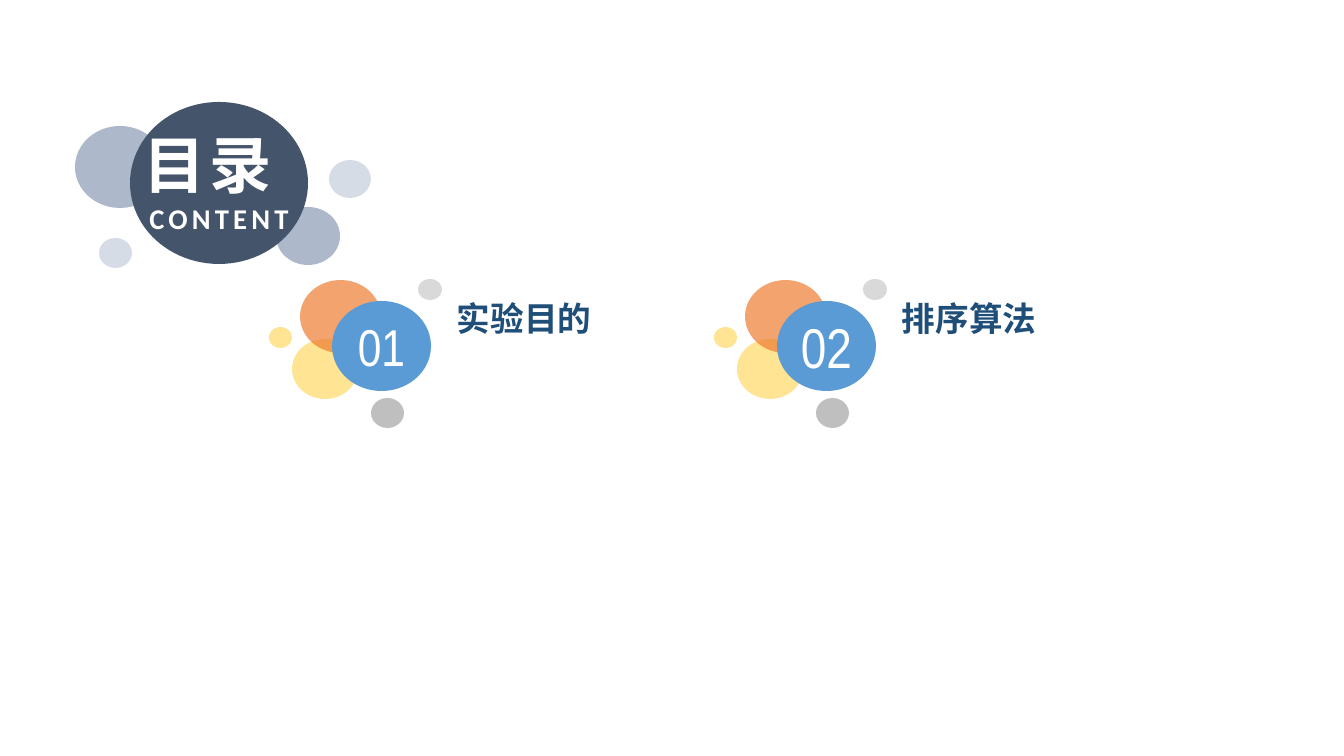
from lxml.etree import SubElement
from pptx import Presentation
from pptx.dml.color import RGBColor
from pptx.enum.shapes import MSO_SHAPE
from pptx.enum.text import MSO_ANCHOR, PP_ALIGN
from pptx.oxml.ns import qn
from pptx.util import Pt

PX = 914400 / 100.8
COLORS = {
    "navy": "44546A", "slate": "ADB9CA", "mist": "D6DCE5",
    "yellow": "FFD966", "orange": "ED7D31", "blue": "5B9BD5",
    "gray": "A5A5A5", "silver": "C9C9C9",
    "label": "1F4E79", "white": "FFFFFF",
}
CJK_FONT = "Noto Sans CJK SC"
ENTRY_LEFT, ENTRY_TOP, ENTRY_PITCH = 269, 279, 445
ENTRIES = [("01", 37, "实验目的"), ("02", 40, "排序算法")]
# Colour, left, top, width, height and opacity, relative to the entry
ENTRY_BUBBLES = [
    ("yellow", 23, 60, 66, 60, 70),
    ("orange", 31, 1, 81, 73, 70),
    ("blue", 63, 22, 99, 90, 100),
    ("gray", 102, 119, 33, 30, 70),
    ("yellow", 0, 48, 23, 21, 70),
    ("silver", 149, 0, 24, 21, 70),
]
TITLE_BUBBLES = [
    ("mist", 99, 238, 33, 30),
    ("slate", 276, 207, 64, 58),
    ("slate", 75, 126, 90, 82),
    ("navy", 130, 102, 178, 162),
    ("mist", 329, 160, 42, 38),
]


def px(length):
    return round(length * PX)


def rgb(name):
    return RGBColor.from_string(COLORS[name])


def add_bubble(group, color, left, top, width, height, opacity=100):
    bubble = group.shapes.add_shape(
        MSO_SHAPE.OVAL, px(left), px(top), px(width), px(height))
    bubble.shadow.inherit = False
    bubble.line.fill.background()
    bubble.fill.solid()
    bubble.fill.fore_color.rgb = rgb(color)
    if opacity < 100:
        tint = bubble.fill._xPr.find(".//" + qn("a:srgbClr"))
        SubElement(tint, qn("a:alpha"), val=str(opacity * 1000))
    return bubble


def prepare_text(box, anchor, align, font_name, color, bold=False):
    """Set the unwrapped frame's shared style and return its paragraph."""
    frame = box.text_frame
    frame.word_wrap = False
    frame.vertical_anchor = anchor
    paragraph = frame.paragraphs[0]
    paragraph.alignment = align
    font = paragraph.font
    font.name, font.bold = font_name, bold
    font.color.rgb = rgb(color)
    SubElement(font._rPr, qn("a:ea"), typeface=CJK_FONT)
    return paragraph


def add_spaced_span(paragraph, text, size):
    span = paragraph.add_run()
    span.text = text
    span.font.size = Pt(size)
    span.font._rPr.set("spc", "300")


def add_title(page):
    group = page.shapes.add_group_shape()
    for color, *place in TITLE_BUBBLES:
        bubble = add_bubble(group, color, *place)
        if color == "navy":
            paragraph = prepare_text(bubble, MSO_ANCHOR.BOTTOM,
                                     PP_ALIGN.CENTER, "Calibri", "white", True)
            add_spaced_span(paragraph, "目录 ", 44.4)
            paragraph.add_line_break()
            add_spaced_span(paragraph, "CONTENT", 20.4)


def add_entry(page, left, top, number, number_size, label):
    group = page.shapes.add_group_shape()
    for color, dx, dy, *look in ENTRY_BUBBLES:
        bubble = add_bubble(group, color, left + dx, top + dy, *look)
        if color == "blue":
            paragraph = prepare_text(bubble, MSO_ANCHOR.MIDDLE,
                                     PP_ALIGN.CENTER, "Arial Narrow", "white")
            paragraph.font.size = Pt(number_size)
            paragraph.add_run().text = number

    box = page.shapes.add_textbox(px(left + 149), px(top), px(277), px(59))
    frame = box.text_frame
    frame.margin_left = px(39)
    frame.margin_top = frame.margin_right = frame.margin_bottom = 0
    paragraph = prepare_text(box, MSO_ANCHOR.BOTTOM, PP_ALIGN.LEFT,
                             CJK_FONT, "label", True)
    paragraph.font.size = Pt(24)
    paragraph.add_run().text = label


def main():
    deck = Presentation()
    deck.slide_width, deck.slide_height = px(1344), px(756)
    page = deck.slides.add_slide(deck.slide_layouts[6])
    for index, entry in enumerate(ENTRIES):
        add_entry(page, ENTRY_LEFT + index * ENTRY_PITCH, ENTRY_TOP, *entry)
    add_title(page)
    deck.save("out.pptx")


if __name__ == "__main__":
    main()
